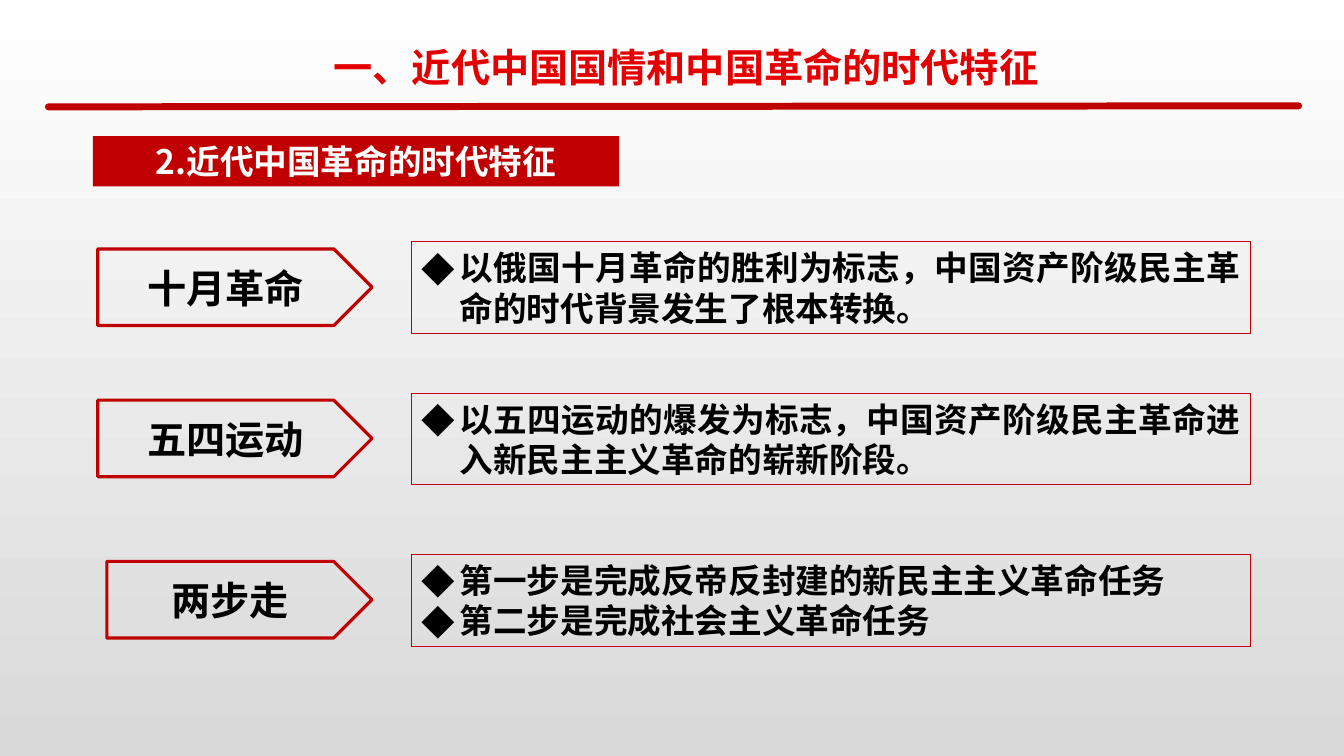
import pptx
import pptx.util
import pptx.dml.color
import pptx.enum.shapes
import pptx.enum.text
import pptx.oxml.ns
from dataclasses import dataclass
from lxml import etree

Inches = pptx.util.Inches
Pt = pptx.util.Pt
Shape = pptx.enum.shapes.MSO_SHAPE
Align = pptx.enum.text.PP_ALIGN
Anchor = pptx.enum.text.MSO_ANCHOR
qn = pptx.oxml.ns.qn


@dataclass(frozen=True)
class Theme:
    font: str = "Noto Sans CJK SC"
    red: str = "C00000"
    title_red: str = "E30000"
    black: str = "000000"
    white: str = "FFFFFF"
    gray: str = "D9D9D9"
    heading_size: int = 28
    body_size: int = 24
    line_height: float = 1.21
    bullet_indent: float = 0.38


def rgb(color):
    return pptx.dml.color.RGBColor.from_string(color)


class SlideBuilder:
    def __init__(self, slide, theme):
        self.slide = slide
        self.theme = theme

    def background(self):
        fill = self.slide.background.fill
        fill.gradient()
        fill.gradient_angle = 270
        for stop, color in zip(fill.gradient_stops, (self.theme.white, self.theme.gray)):
            stop.color.rgb = rgb(color)

    def rule(self, start_x, start_y, end_x, end_y):
        connector = self.slide.shapes.add_connector(
            pptx.enum.shapes.MSO_CONNECTOR.STRAIGHT,
            Inches(start_x), Inches(start_y), Inches(end_x), Inches(end_y))
        connector.line.color.rgb = rgb(self.theme.red)
        connector.line.width = Pt(5)
        connector.line._get_or_add_ln().set("cap", "rnd")
        etree.SubElement(connector._element.spPr, qn("a:effectLst"))

    def bullet(self, paragraph):
        properties = paragraph._p.get_or_add_pPr()
        indent = Inches(self.theme.bullet_indent)
        properties.set("marL", str(indent))
        properties.set("indent", str(-indent))
        etree.SubElement(properties, qn("a:buFont")).set("typeface", self.theme.font)
        etree.SubElement(properties, qn("a:buChar")).set("char", "◆")

    def set_text(self, shape, lines, size, color, align, anchor, bulleted=False):
        frame = shape.text_frame
        frame.word_wrap = True
        frame.vertical_anchor = anchor
        frame.text = "\n".join(lines)
        for paragraph in frame.paragraphs:
            paragraph.alignment = align
            paragraph.line_spacing = Pt(size * self.theme.line_height)
            if bulleted:
                self.bullet(paragraph)
            font = paragraph.font
            font.name = self.theme.font
            font.size = Pt(size)
            font.bold = True
            font.color.rgb = rgb(color)
            east_asian = etree.SubElement(font._element, qn("a:ea"))
            east_asian.set("typeface", self.theme.font)

    def shape(self, kind, left, top, width, height, line_width=None):
        shape = self.slide.shapes.add_shape(
            kind, Inches(left), Inches(top), Inches(width), Inches(height))
        shape.shadow.inherit = False
        if line_width is None:
            shape.fill.solid()
            shape.fill.fore_color.rgb = rgb(self.theme.red)
            shape.line.fill.background()
        else:
            shape.fill.background()
            shape.line.color.rgb = rgb(self.theme.red)
            shape.line.width = Pt(line_width)
        return shape

    def title(self, text, left, top, width, height):
        box = self.slide.shapes.add_textbox(
            Inches(left), Inches(top), Inches(width), Inches(height))
        self.set_text(box, [text], self.theme.heading_size, self.theme.title_red,
                      Align.LEFT, Anchor.TOP)

    def banner(self, text, left, top, width, height):
        shape = self.shape(Shape.RECTANGLE, left, top, width, height)
        self.set_text(shape, [text], self.theme.body_size, self.theme.white,
                      Align.CENTER, Anchor.TOP)

    def label(self, text, left, top, width, height):
        shape = self.shape(Shape.PENTAGON, left, top, width, height, 2.25)
        self.set_text(shape, [text], self.theme.heading_size, self.theme.black,
                      Align.CENTER, Anchor.MIDDLE)

    def statement(self, lines, left, top, width, height):
        shape = self.shape(Shape.RECTANGLE, left, top, width, height, 0.75)
        self.set_text(shape, lines, self.theme.body_size, self.theme.black,
                      Align.JUSTIFY, Anchor.TOP, bulleted=True)


def main():
    presentation = pptx.Presentation()
    presentation.slide_width = Inches(13.33)
    presentation.slide_height = Inches(7.5)
    slide = presentation.slides.add_slide(presentation.slide_layouts[6])
    builder = SlideBuilder(slide, Theme())

    builder.background()
    builder.rule(0.48, 1.06, 12.88, 1.05)
    builder.title("一、近代中国国情和中国革命的时代特征", 3.21, 0.38, 7.68, 0.57)
    builder.banner("2.近代中国革命的时代特征", 0.92, 1.35, 5.22, 0.5)

    label_right = 3.69
    rows = [
        (2.4, 0.97, "十月革命",
         ["以俄国十月革命的胜利为标志，中国资产阶级民主革命的时代背景发生了根本转换。"]),
        (3.9, 0.97, "五四运动",
         ["以五四运动的爆发为标志，中国资产阶级民主革命进入新民主主义革命的崭新阶段。"]),
        (5.5, 1.06, "两步走",
         ["第一步是完成反帝反封建的新民主主义革命任务",
          "第二步是完成社会主义革命任务"]),
    ]
    for top, label_left, name, lines in rows:
        builder.statement(lines, 4.08, top, 8.32, 0.91)
        builder.label(name, label_left, top + 0.07, label_right - label_left, 0.76)

    presentation.save("out.pptx")


if __name__ == "__main__":
    main()
